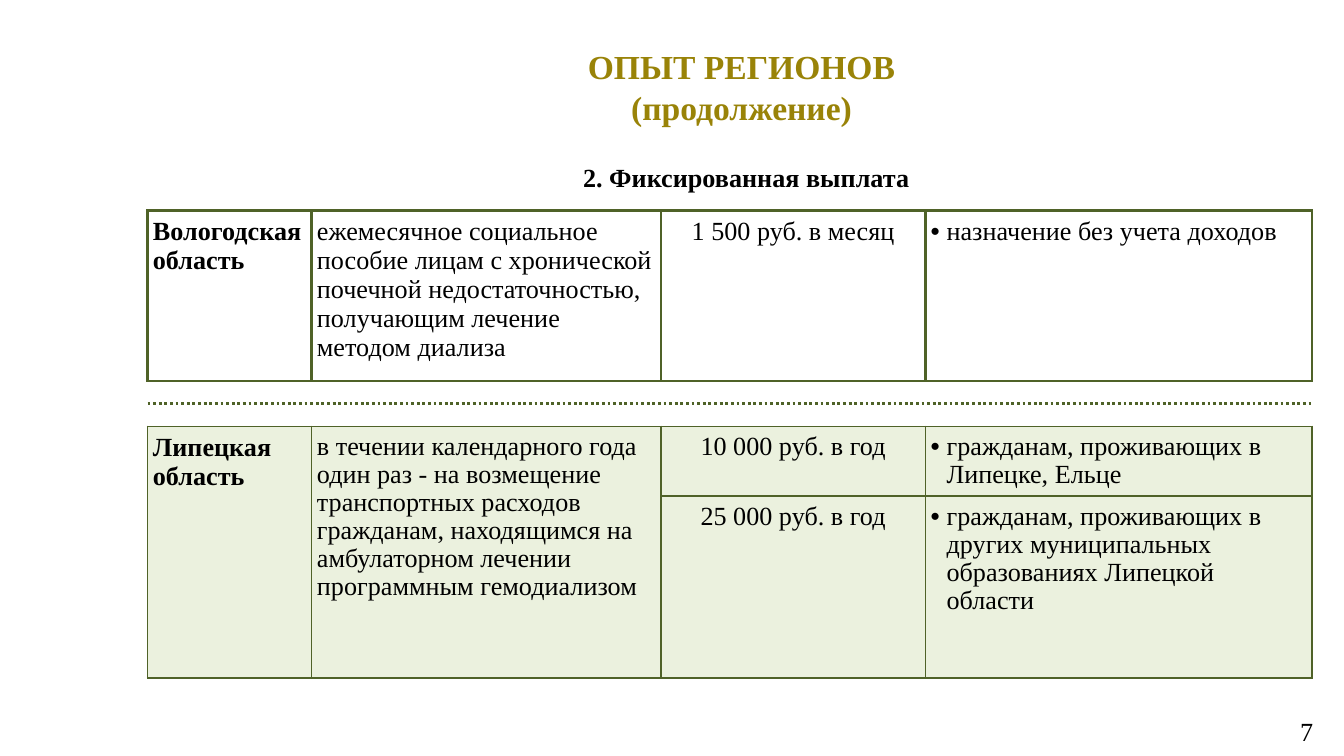
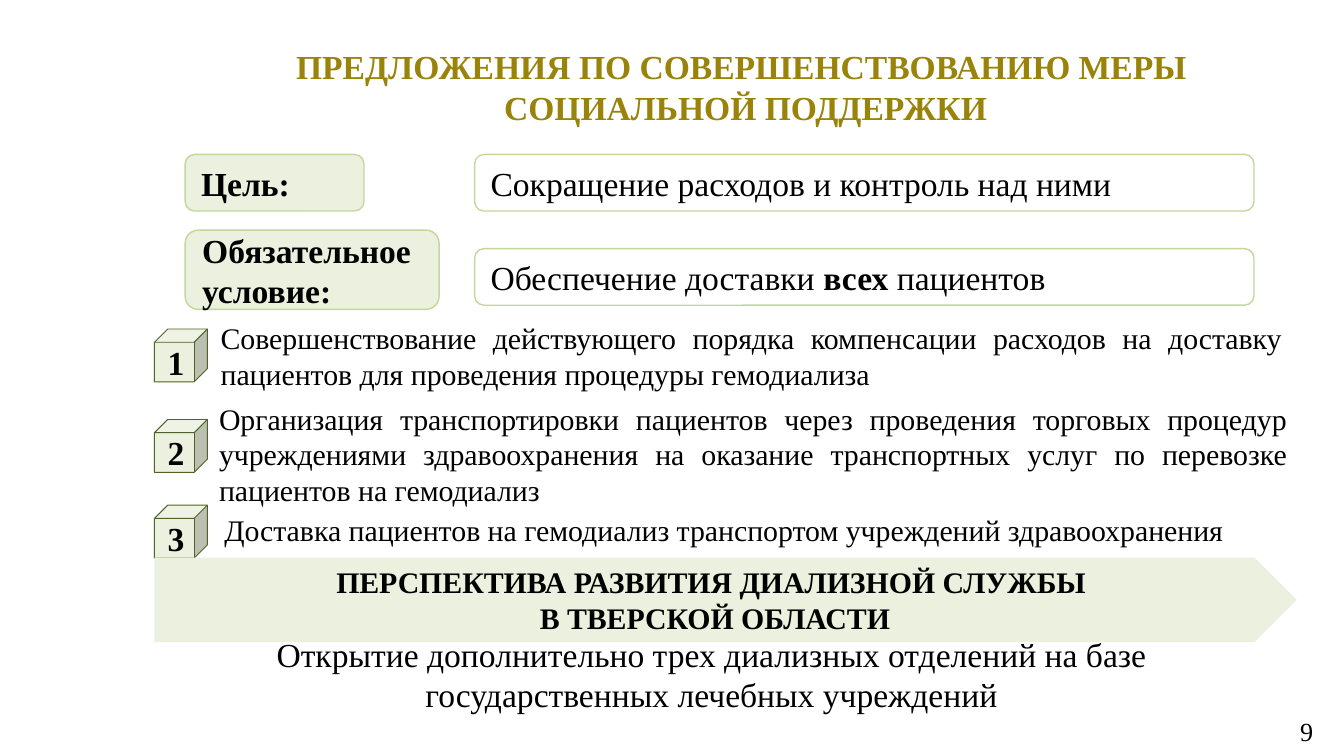
from lxml import etree
from pptx import Presentation
from pptx.dml.color import RGBColor
from pptx.enum.dml import MSO_LINE
from pptx.enum.shapes import MSO_CONNECTOR, MSO_SHAPE
from pptx.enum.text import MSO_ANCHOR, MSO_AUTO_SIZE, PP_ALIGN
from pptx.oxml.ns import qn
from pptx.util import Cm, Pt

LEFT, CENTER, RIGHT, JUSTIFY = PP_ALIGN.LEFT, PP_ALIGN.CENTER, PP_ALIGN.RIGHT, PP_ALIGN.JUSTIFY
MIDDLE, TOP = MSO_ANCHOR.MIDDLE, MSO_ANCHOR.TOP
GROW = MSO_AUTO_SIZE.SHAPE_TO_FIT_TEXT
CUBE, ROUNDED, PENTAGON = MSO_SHAPE.CUBE, MSO_SHAPE.ROUNDED_RECTANGLE, MSO_SHAPE.PENTAGON
STRAIGHT, DOTTED = MSO_CONNECTOR.STRAIGHT, MSO_LINE.ROUND_DOT

FONT = "Times New Roman"
BLACK = RGBColor(0x00, 0x00, 0x00)
GOLD = RGBColor(0x99, 0x83, 0x08)
PALE_GREEN = RGBColor(0xEB, 0xF1, 0xDE)
LIGHT_GREEN = RGBColor(0xC3, 0xD6, 0x9B)
DARK_GREEN = RGBColor(0x4F, 0x62, 0x28)

REGIONS = {
    "title": ["ОПЫТ РЕГИОНОВ ", "(продолжение) "],
    "number": "7",
    "subtitle": "2. Фиксированная выплата",
    "lipetsk": [
        ["Липецкая область",
         "в течении календарного года один раз - на возмещение транспортных расходов гражданам, "
         "находящимся на амбулаторном лечении программным гемодиализом",
         "10 000 руб. в год",
         "гражданам, проживающих в Липецке, Ельце"],
        [None, None,
         "25 000 руб. в год",
         "гражданам, проживающих в других муниципальных образованиях Липецкой области"],
    ],
    "vologda": [
        ["Вологодская область",
         "ежемесячное социальное пособие лицам с хронической почечной недостаточностью, "
         "получающим лечение методом диализа",
         "1 500 руб. в месяц",
         "назначение без учета доходов"],
    ],
}
PROPOSALS = {
    "title": ["ПРЕДЛОЖЕНИЯ ПО СОВЕРШЕНСТВОВАНИЮ МЕРЫ ", "СОЦИАЛЬНОЙ ПОДДЕРЖКИ"],
    "number": "9",
    "labels": [
        ("Цель:", (3.5, 2.92, 3.38, 1.07)),
        ("Обязательное условие:", (3.5, 4.35, 4.8, 1.5)),
    ],
    "statements": [
        ([("Сокращение расходов и контроль над ними", False)], 2.92),
        ([("Обеспечение доставки ", False), ("всех", True), (" пациентов", False)], 4.7),
    ],
    "measures": [
        ("Совершенствование действующего порядка компенсации расходов на доставку пациентов "
         "для проведения процедуры гемодиализа", 6.22, (3.92, 5.92, 20.57, 1.63)),
        ("Организация транспортировки пациентов через проведения торговых процедур учреждениями "
         "здравоохранения на оказание транспортных услуг по перевозке пациентов на гемодиализ",
         7.93, (3.89, 7.44, 20.7, 2.31)),
        ("Доставка пациентов на гемодиализ транспортом учреждений здравоохранения",
         9.55, (3.99, 9.55, 20.5, 0.94)),
    ],
    "outlook": ["ПЕРСПЕКТИВА РАЗВИТИЯ ДИАЛИЗНОЙ СЛУЖБЫ ", "В ТВЕРСКОЙ ОБЛАСТИ"],
    "plan": "Открытие дополнительно трех диализных отделений на базе "
            "государственных лечебных учреждений",
}

TABLE_LEFT = 2.79
COLUMN_WIDTHS = [3.1, 6.6, 5.0, 7.3]
COLUMN_ALIGNMENTS = [LEFT, LEFT, CENTER, LEFT]
ROW_HEIGHT = 1.04
BULLET_INDENT = Cm(0.3)


def cm_box(box):
    return [Cm(value) for value in box]


def write(paragraph, runs, size, alignment, color=BLACK):
    paragraph.alignment = alignment
    for text, bold in runs:
        run = paragraph.add_run()
        run.text = text
        font = run.font
        font.name, font.size, font.bold = FONT, Pt(size), bold
        font.color.rgb = color


def fill_frame(frame, lines, size, alignment, color=BLACK):
    for index, runs in enumerate(lines):
        paragraph = frame.add_paragraph() if index else frame.paragraphs[0]
        write(paragraph, runs, size, alignment, color)


def add_text(slide, box, lines, size, alignment, color=BLACK, wrap=True, grow=True, anchor=TOP):
    frame = slide.shapes.add_textbox(*cm_box(box)).text_frame
    frame.word_wrap = wrap
    frame.vertical_anchor = anchor
    if grow:
        frame.auto_size = GROW
    fill_frame(frame, lines, size, alignment, color)


def add_figure(slide, kind, box, lines, size, alignment, fill=None, line=None, width=0.75):
    shape = slide.shapes.add_shape(kind, *cm_box(box))
    shape.shadow.inherit = False
    if fill is None:
        shape.fill.background()
    else:
        shape.fill.solid()
        shape.fill.fore_color.rgb = fill
    if line is None:
        shape.line.fill.background()
    else:
        shape.line.color.rgb = line
        shape.line.width = Pt(width)
    shape.text_frame.word_wrap = True
    shape.text_frame.vertical_anchor = MIDDLE
    fill_frame(shape.text_frame, lines, size, alignment)


def set_borders(cell, width):
    properties = cell._tc.get_or_add_tcPr()
    for index, side in enumerate(("a:lnL", "a:lnR", "a:lnT", "a:lnB")):
        border = etree.Element(qn(side), w=str(Pt(width)))
        solid = etree.SubElement(border, qn("a:solidFill"))
        etree.SubElement(solid, qn("a:srgbClr"), val=str(DARK_GREEN))
        properties.insert(index, border)


def add_bullet(paragraph):
    properties = paragraph._p.get_or_add_pPr()
    properties.set("marL", str(BULLET_INDENT))
    properties.set("indent", str(-BULLET_INDENT))
    etree.SubElement(properties, qn("a:buFont"), typeface="Arial")
    etree.SubElement(properties, qn("a:buChar"), char="•")


def add_region_table(slide, rows, top, height, border, fill=None, spacing=None):
    shape = slide.shapes.add_table(len(rows), len(COLUMN_WIDTHS), Cm(TABLE_LEFT), Cm(top),
                                   Cm(sum(COLUMN_WIDTHS)), Cm(height))
    table = shape.table
    table.first_row = table.horz_banding = False
    for column, width in zip(table.columns, COLUMN_WIDTHS):
        column.width = Cm(width)
    for row in table.rows:
        row.height = Cm(ROW_HEIGHT)
    shape.height = Cm(height)
    last = len(COLUMN_WIDTHS) - 1
    for row_index, row in enumerate(rows):
        for column_index, text in enumerate(row):
            cell = table.cell(row_index, column_index)
            cell.margin_left = cell.margin_right = Cm(0.1)
            cell.margin_top = cell.margin_bottom = Cm(0.13)
            if fill is None:
                cell.fill.background()
            else:
                cell.fill.solid()
                cell.fill.fore_color.rgb = fill
            set_borders(cell, border)
            if text is None:
                continue
            paragraph = cell.text_frame.paragraphs[0]
            if column_index == last:
                add_bullet(paragraph)
            if spacing and column_index:
                paragraph.line_spacing = Pt(spacing)
            write(paragraph, [(text, column_index == 0)], 14, COLUMN_ALIGNMENTS[column_index])
    if len(rows) > 1:
        for column_index, text in enumerate(rows[-1]):
            if text is None:
                table.cell(0, column_index).merge(table.cell(len(rows) - 1, column_index))


def add_divider(slide, y):
    line = slide.shapes.add_connector(STRAIGHT, Cm(TABLE_LEFT), Cm(y),
                                      Cm(TABLE_LEFT + sum(COLUMN_WIDTHS)), Cm(y))
    line.line.color.rgb = DARK_GREEN
    line.line.width = Pt(1.5)
    line.line.dash_style = DOTTED
    etree.SubElement(line._element.spPr, qn("a:effectLst"))


def add_slide(presentation, content):
    slide = presentation.slides.add_slide(presentation.slide_layouts[6])
    add_text(slide, (19.15, 13.44, 5.92, 0.76), [[(content["number"], False)]], 14, RIGHT,
             grow=False, anchor=MIDDLE)
    add_text(slide, (2.79, 0.75, 22.61, 1.8), [[(line, True)] for line in content["title"]],
             18, CENTER, GOLD)
    return slide


def build_regions(presentation):
    slide = add_slide(presentation, REGIONS)
    add_text(slide, (10.74, 2.92, 6.73, 0.86), [[(REGIONS["subtitle"], True)]], 14, CENTER,
             wrap=False)
    add_region_table(slide, REGIONS["lipetsk"], 8.06, 3.68, 1, PALE_GREEN, 15)
    add_region_table(slide, REGIONS["vologda"], 3.98, 3.23, 1.5)
    add_divider(slide, 7.62)


def build_proposals(presentation):
    slide = add_slide(presentation, PROPOSALS)
    for number, (text, cube_top, box) in enumerate(PROPOSALS["measures"], 1):
        add_figure(slide, CUBE, (2.92, cube_top, 1, 1), [[(str(number), True)]], 18, CENTER,
                   PALE_GREEN, DARK_GREEN, 0.5)
        add_text(slide, box, [[(text, False)]], 16, JUSTIFY)
    add_text(slide, (4.75, 11.86, 17.4, 1.8), [[(PROPOSALS["plan"], False)]], 18, CENTER)
    add_figure(slide, PENTAGON, (2.92, 10.54, 21.59, 1.6),
               [[(line, True)] for line in PROPOSALS["outlook"]], 16, CENTER, PALE_GREEN)
    for text, box in PROPOSALS["labels"]:
        add_figure(slide, ROUNDED, box, [[(text, True)]], 18, LEFT, PALE_GREEN, LIGHT_GREEN)
    for runs, top in PROPOSALS["statements"]:
        add_figure(slide, ROUNDED, (8.97, top, 14.73, 1.07), [runs], 18, LEFT, line=LIGHT_GREEN)


def main():
    presentation = Presentation()
    presentation.slide_width, presentation.slide_height = Cm(25.4), Cm(14.29)
    build_regions(presentation)
    build_proposals(presentation)
    presentation.save("out.pptx")


if __name__ == "__main__":
    main()
